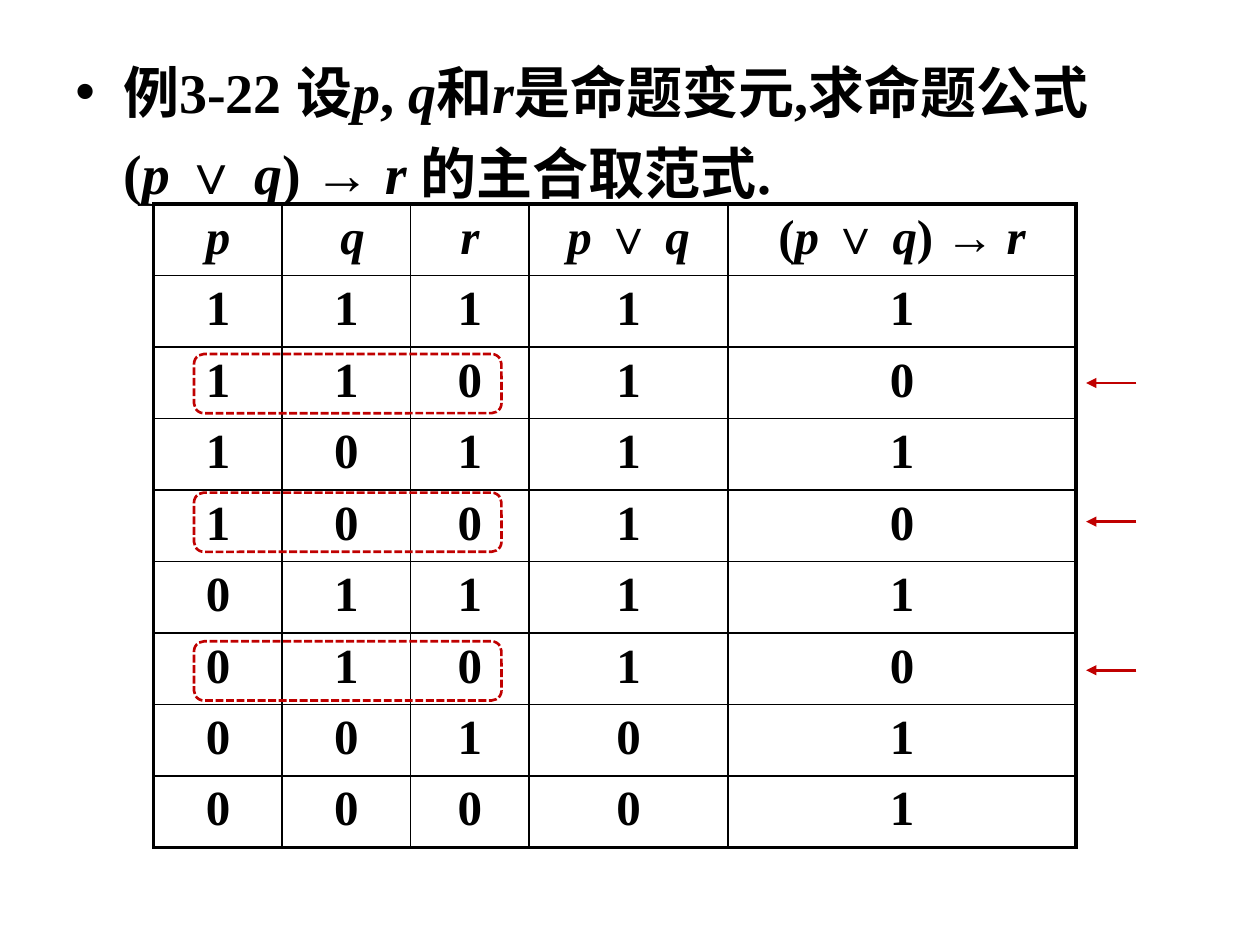
import itertools
from typing import NamedTuple

import pptx
import pptx.dml.color
import pptx.enum.dml
import pptx.enum.shapes
import pptx.enum.text
import pptx.oxml
import pptx.oxml.ns
import pptx.util
from pptx.util import Inches

COLORS = {"ink": "000000", "mark": "C00000"}
SERIF = "Times New Roman"


class Run(NamedTuple):
    text: str
    italic: bool = False
    font: str = SERIF


class Mark(NamedTuple):
    """A highlighted false row: the box top and the arrow height."""
    box_top: float
    arrow_y: float


P, Q, R = (Run(name, True) for name in "pqr")
P_OR_Q = [Run("p ", True), Run("∨ "), Q]

QUESTION = [
    Run("例", font="Arial"), Run("3-22 设"), P, Run(", "), Q, Run("和"), R,
    Run("是命题变元,求命题公式　("), *P_OR_Q, Run(") → "),
    Run("r ", True), Run("的主合取范式."),
]
HEADER = [[P], [Run(" "), Q], [R], P_OR_Q,
          [Run("("), *P_OR_Q, Run(") → "), R]]
COL_WIDTHS = [1.02, 1.02, 0.94, 1.58, 2.76]
ROW_HEIGHT = 5.1 / 9
MARKS = [Mark(2.81, 3.04), Mark(3.91, 4.14), Mark(5.09, 5.32)]


def rgb(name: str) -> pptx.dml.color.RGBColor:
    return pptx.dml.color.RGBColor.from_string(COLORS[name])


def element(tag: str, **attrs: str):
    el = pptx.oxml.parse_xml(f"<{tag} {pptx.oxml.ns.nsdecls('a')}/>")
    for key, value in attrs.items():
        el.set(key, value)
    return el


def add_runs(p, runs: list[Run], size: float) -> None:
    for run in runs:
        r = p.add_run()
        r.text = run.text
        r.font.name = run.font
        r.font.size = pptx.util.Pt(size)
        r.font.bold = True
        r.font.italic = run.italic
        r.font.color.rgb = rgb("ink")


def add_question(s) -> None:
    sp = s.shapes.add_textbox(Inches(0.5), Inches(0.3), Inches(9), Inches(6.4))
    tf = sp.text_frame
    tf.word_wrap = True
    p = tf.paragraphs[0]
    p.line_spacing = 1.2
    pPr = p._p.get_or_add_pPr()
    pPr.set("marL", str(Inches(0.38)))
    pPr.set("indent", str(Inches(-0.38)))
    pPr.append(element("a:buFont", typeface="Arial"))
    pPr.append(element("a:buChar", char="•"))
    add_runs(p, QUESTION, 32)


def set_borders(cell, widths: dict[str, float]) -> None:
    tcPr = cell._tc.get_or_add_tcPr()
    for i, (side, width) in enumerate(widths.items()):
        ln = element(f"a:ln{side}", w=str(pptx.util.Pt(width)))
        fill = element("a:solidFill")
        fill.append(element("a:srgbClr", val=COLORS["ink"]))
        ln.append(fill)
        tcPr.insert(i, ln)


def add_truth_table(s) -> None:
    rows = [HEADER]
    for p, q, r in itertools.product((1, 0), repeat=3):
        values = (p, q, r, p or q, int(not (p or q) or r))
        rows.append([[Run(str(v))] for v in values])
    last_row, last_col = len(rows) - 1, len(COL_WIDTHS) - 1

    table = s.shapes.add_table(
        len(rows), len(COL_WIDTHS), Inches(1.22), Inches(1.62),
        Inches(sum(COL_WIDTHS)), Inches(ROW_HEIGHT * len(rows))).table
    table.first_row = table.horz_banding = False
    for column, width in zip(table.columns, COL_WIDTHS):
        column.width = Inches(width)

    for i, row in enumerate(rows):
        table.rows[i].height = Inches(ROW_HEIGHT)
        for j, runs in enumerate(row):
            cell = table.cell(i, j)
            cell.fill.background()
            p = cell.text_frame.paragraphs[0]
            p.alignment = pptx.enum.text.PP_ALIGN.CENTER
            add_runs(p, runs, 28)
            outer = {"L": j == 0, "R": j == last_col,
                     "T": i == 0, "B": i == last_row}
            set_borders(cell, {side: 2.25 if edge else 1
                               for side, edge in outer.items()})


def style_line(line) -> None:
    line.color.rgb = rgb("mark")
    line.width = pptx.util.Pt(1.5)


def add_arrow(s, y: float) -> None:
    line = s.shapes.add_connector(
        pptx.enum.shapes.MSO_CONNECTOR.STRAIGHT,
        Inches(9.02), Inches(y), Inches(8.62), Inches(y))
    style_line(line.line)
    line.line._get_or_add_ln().append(element("a:tailEnd", type="triangle"))
    line._element.spPr.append(element("a:effectLst"))


def add_row_box(s, top: float) -> None:
    sp = s.shapes.add_shape(
        pptx.enum.shapes.MSO_SHAPE.ROUNDED_RECTANGLE,
        Inches(1.54), Inches(top), Inches(2.44), Inches(0.47))
    sp.shadow.inherit = False
    sp.fill.background()
    style_line(sp.line)
    sp.line.dash_style = pptx.enum.dml.MSO_LINE.SQUARE_DOT


def main() -> None:
    prs = pptx.Presentation()
    prs.slide_width, prs.slide_height = Inches(10), Inches(7.5)
    s = prs.slides.add_slide(prs.slide_layouts[6])

    # Question and its truth table
    add_question(s)
    add_truth_table(s)

    # Rows where the formula is false
    for mark in MARKS:
        add_arrow(s, mark.arrow_y)
    for mark in MARKS:
        add_row_box(s, mark.box_top)

    prs.save("out.pptx")


if __name__ == "__main__":
    main()
